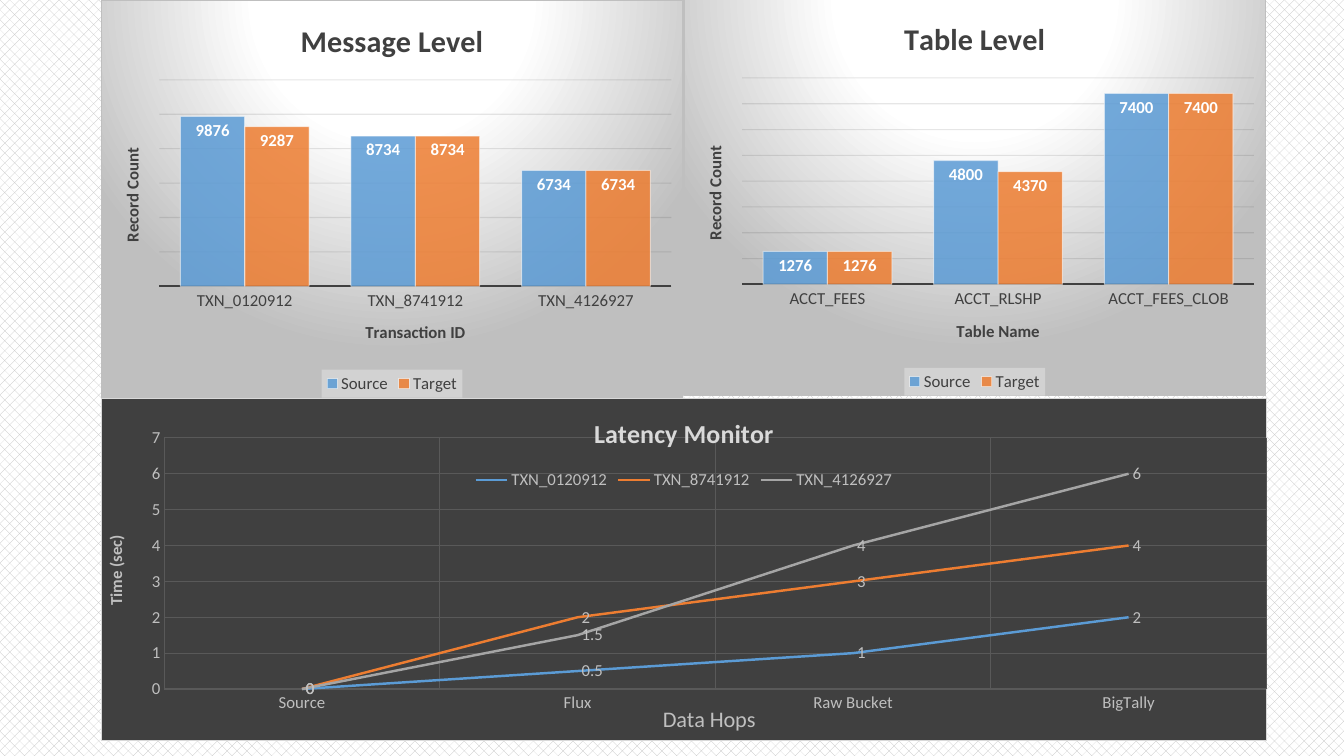
from lxml.etree import SubElement
from pptx import Presentation
from pptx.chart.data import CategoryChartData
from pptx.dml.color import RGBColor
from pptx.enum.chart import XL_CHART_TYPE, XL_LABEL_POSITION, XL_LEGEND_POSITION, XL_TICK_MARK
from pptx.enum.dml import MSO_PATTERN
from pptx.oxml import parse_xml
from pptx.oxml.ns import nsdecls, qn
from pptx.util import Pt

FONT = "Calibri"
BLUE, ORANGE, GREY = "5B9BD5", "ED7D31", "A5A5A5"
DARK, PALE, WHITE = "404040", "BFBFBF", "FFFFFF"
COLUMN_PLOT = (0.1, 0.2, 0.88, 0.52)
LATENCY_PLOT = (0.054, 0.115, 0.946, 0.735)

MESSAGE = {
    "title": "Message Level", "axis": "Transaction ID", "maximum": 12000, "unit": 2000,
    "place": (72, 0, 416.2, 284.4),
    "categories": ["TXN_0120912", "TXN_8741912", "TXN_4126927"],
    "series": [("Source", [9876, 8734, 6734], BLUE), ("Target", [9287, 8734, 6734], ORANGE)],
}
LATENCY = {
    "title": "Latency Monitor", "axis": "Data Hops", "maximum": 7, "unit": 1,
    "place": (72, 284.4, 833, 244.8),
    "categories": ["Source", "Flux", "Raw Bucket", "BigTally"],
    "series": [
        ("TXN_0120912", [0, 0.5, 1, 2], BLUE),
        ("TXN_8741912", [0, 2, 3, 4], ORANGE),
        ("TXN_4126927", [0, 1.5, 4, 6], GREY),
    ],
}
TABLE = {
    "title": "Table Level", "axis": "Table Name", "maximum": 8000, "unit": 1000,
    "place": (488.2, -1.4, 416.2, 284.4),
    "categories": ["ACCT_FEES", "ACCT_RLSHP", "ACCT_FEES_CLOB"],
    "series": [("Source", [1276, 4800, 7400], BLUE), ("Target", [1276, 4370, 7400], ORANGE)],
}


def rgb(color):
    return RGBColor.from_string(color)


def set_font(font, size, color, bold=False):
    font.name, font.size, font.bold = FONT, Pt(size), bold
    font.color.rgb = rgb(color)


def set_line(line, color, width):
    line.color.rgb = rgb(color)
    line.width = Pt(width)


def set_title(title, text, size, color, bold=True, upright=False):
    frame = title.text_frame
    frame.text = text
    set_font(frame.paragraphs[0].font, size, color, bold)
    if upright:
        body = frame._txBody.find(qn("a:bodyPr"))
        body.set("rot", "-5400000")
        body.set("vert", "horz")


def fade(element, *percents):
    for color, percent in zip(element.iter(qn("a:srgbClr")), percents):
        SubElement(color, qn("a:alpha"), val=str(percent * 1000))


def solid(color):
    return f'<a:solidFill><a:srgbClr val="{color}"/></a:solidFill>'


def spotlight():
    stops = "".join(
        f'<a:gs pos="{position * 1000}"><a:srgbClr val="{color}"/></a:gs>'
        for position, color in [(0, WHITE), (39, WHITE), (100, PALE)]
    )
    return (f'<a:gradFill><a:gsLst>{stops}</a:gsLst><a:path path="circle">'
            '<a:fillToRect l="50000" t="-80000" r="50000" b="180000"/></a:path></a:gradFill>')


def set_area(element, fill, border=None):
    line = f'<a:ln w="9525">{solid(border)}</a:ln>' if border else "<a:ln><a:noFill/></a:ln>"
    area = parse_xml(f'<c:spPr {nsdecls("c", "a")}>{fill}{line}</c:spPr>')
    element.find(qn("c:txPr")).addprevious(area)
    return area


def set_plot(chart, place):
    plot_area = chart.element.find(".//" + qn("c:plotArea"))
    for layout in plot_area.findall(qn("c:layout")):
        plot_area.remove(layout)
    modes = '<c:layoutTarget val="inner"/><c:xMode val="edge"/><c:yMode val="edge"/>'
    sizes = "".join(f'<c:{name} val="{value}"/>' for name, value in zip("xywh", place))
    plot_area.insert(0, parse_xml(
        f'<c:layout {nsdecls("c")}><c:manualLayout>{modes}{sizes}</c:manualLayout></c:layout>'))


def add_chart(slide, content, kind, ink, legend_position, plot_place):
    data = CategoryChartData()
    data.categories = content["categories"]
    for name, values, _ in content["series"]:
        data.add_series(name, values)
    chart = slide.shapes.add_chart(kind, *map(Pt, content["place"]), data).chart
    set_font(chart.font, 10, "000000")
    set_plot(chart, plot_place)
    chart.plots[0].vary_by_categories = False
    chart.has_legend = True
    chart.legend.position = legend_position
    chart.legend.include_in_layout = False
    set_font(chart.legend.font, 12, ink)
    for axis in (chart.category_axis, chart.value_axis):
        axis.major_tick_mark = axis.minor_tick_mark = XL_TICK_MARK.NONE
        set_font(axis.tick_labels.font, 12, ink)
    chart.value_axis.minimum_scale = 0
    chart.value_axis.maximum_scale = content["maximum"]
    chart.value_axis.major_unit = content["unit"]
    return chart


def label_series(series, position, color, bold):
    labels = series.data_labels
    labels.show_value = True
    labels.position = position
    set_font(labels.font, 12, color, bold)


def add_columns(slide, content):
    chart = add_chart(slide, content, XL_CHART_TYPE.COLUMN_CLUSTERED, DARK,
                      XL_LEGEND_POSITION.BOTTOM, COLUMN_PLOT)
    set_area(chart.element, spotlight(), PALE)
    fade(set_area(chart.legend._element, solid("F2F2F2")), 39)
    set_title(chart.chart_title, content["title"], 21.6, DARK)
    set_title(chart.category_axis.axis_title, content["axis"], 12, DARK)
    set_title(chart.value_axis.axis_title, "Record Count", 12, DARK, upright=True)
    set_line(chart.category_axis.format.line, DARK, 1.5)
    chart.value_axis.visible = False
    set_line(chart.value_axis.major_gridlines.format.line, "0D0D0D", 0.75)
    fade(chart.value_axis._element.find(qn("c:majorGridlines")), 10)
    chart.plots[0].gap_width = 65
    chart.plots[0].overlap = 0
    for series, (_, _, color) in zip(chart.plots[0].series, content["series"]):
        series.format.fill.solid()
        series.format.fill.fore_color.rgb = rgb(color)
        set_line(series.format.line, WHITE, 0.75)
        fade(series._element.find(qn("c:spPr")), 85, 50)
        label_series(series, XL_LABEL_POSITION.INSIDE_END, WHITE, True)


def add_lines(slide, content):
    chart = add_chart(slide, content, XL_CHART_TYPE.LINE, PALE,
                      XL_LEGEND_POSITION.TOP, LATENCY_PLOT)
    set_area(chart.element, solid(DARK), "D9D9D9")
    set_title(chart.chart_title, content["title"], 18.6, "D9D9D9")
    set_title(chart.category_axis.axis_title, content["axis"], 16, PALE, bold=False)
    set_title(chart.value_axis.axis_title, "Time (sec)", 12, PALE, upright=True)
    for axis in (chart.category_axis, chart.value_axis):
        axis.format.line.fill.background()
        set_line(axis.major_gridlines.format.line, "595959", 0.75)
    for series, (_, _, color) in zip(chart.plots[0].series, content["series"]):
        series.smooth = False
        set_line(series.format.line, color, 1.75)
        label_series(series, XL_LABEL_POSITION.RIGHT, PALE, False)


def main():
    deck = Presentation()
    deck.slide_width, deck.slide_height = Pt(960), Pt(540)
    slide = deck.slides.add_slide(deck.slide_layouts[6])
    backdrop = slide.background.fill
    backdrop.patterned()
    backdrop.pattern = MSO_PATTERN.PERCENT_30
    backdrop.fore_color.rgb = rgb(PALE)
    backdrop.back_color.rgb = rgb(WHITE)
    add_columns(slide, MESSAGE)
    add_lines(slide, LATENCY)
    add_columns(slide, TABLE)
    deck.save("out.pptx")


if __name__ == "__main__":
    main()
